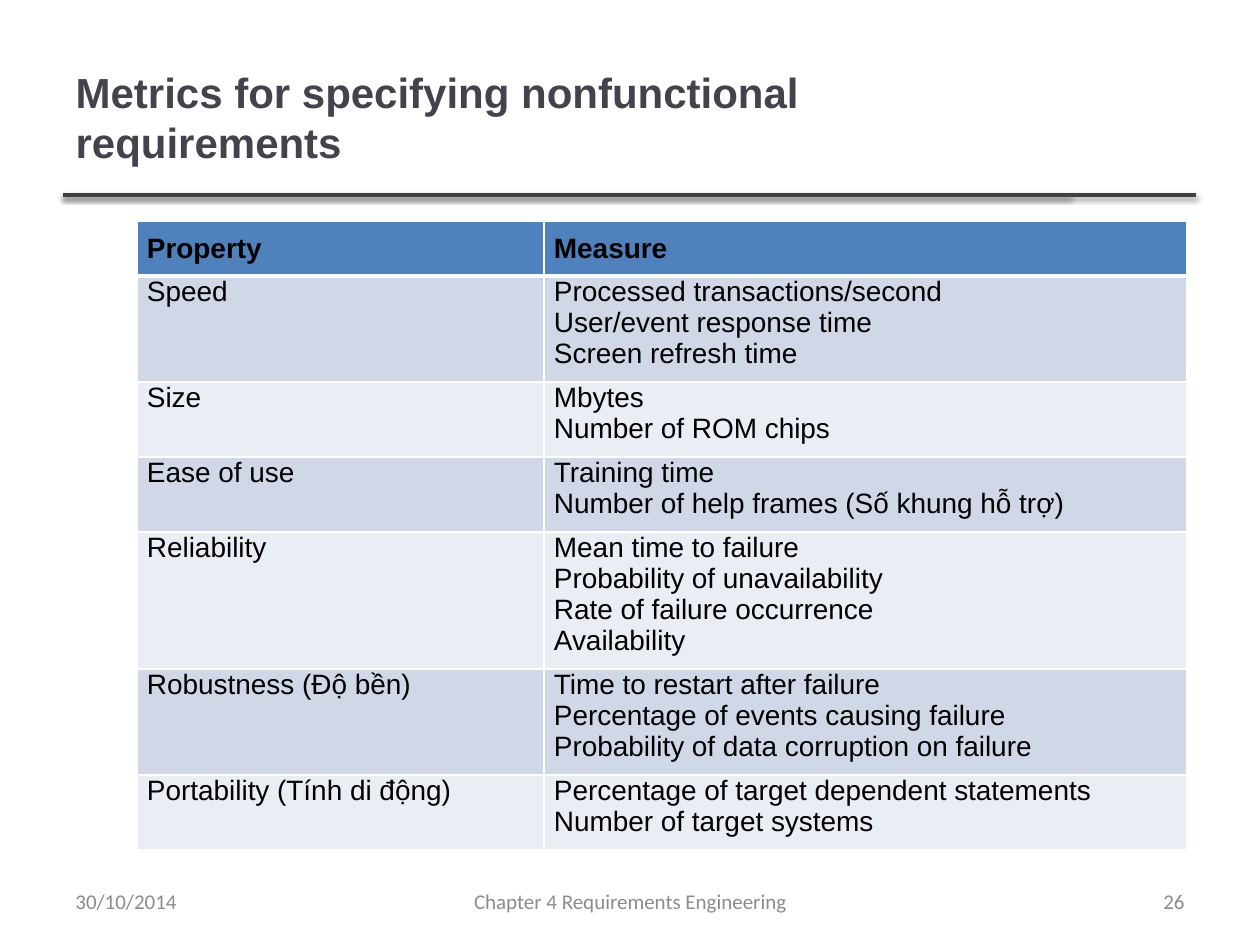
from lxml import etree
from pptx import Presentation
from pptx.dml.color import RGBColor
from pptx.enum.shapes import MSO_CONNECTOR
from pptx.enum.text import MSO_ANCHOR, MSO_AUTO_SIZE, PP_ALIGN
from pptx.oxml import parse_xml
from pptx.util import Emu, Pt

LEFT, CENTER, RIGHT, JUSTIFY = PP_ALIGN.LEFT, PP_ALIGN.CENTER, PP_ALIGN.RIGHT, PP_ALIGN.JUSTIFY
MIDDLE = MSO_ANCHOR.MIDDLE
NO_FIT = MSO_AUTO_SIZE.NONE
STRAIGHT = MSO_CONNECTOR.STRAIGHT

WHITE = RGBColor(0xFF, 0xFF, 0xFF)
BLACK = RGBColor(0x00, 0x00, 0x00)
TITLE_INK = RGBColor(0x46, 0x42, 0x4D)
RULE_INK = RGBColor(0x40, 0x40, 0x40)
FOOTER_INK = RGBColor(0x8C, 0x8C, 0x8C)
HEADER_FILL = RGBColor(0x4F, 0x81, 0xBD)
BAND_FILLS = (RGBColor(0xD0, 0xD8, 0xE8), RGBColor(0xE9, 0xED, 0xF4))

TITLE = {"name": "Arial", "size": Pt(24), "bold": True, "color": TITLE_INK}
HEADER = {"name": "Arial", "size": Pt(16), "bold": True, "color": BLACK}
BODY = {**HEADER, "bold": False}
FOOTER = {"name": "Calibri", "size": Pt(12), "bold": False, "color": FOOTER_INK}

DRAWING = "http://schemas.openxmlformats.org/drawingml/2006/main"
SHADOW = (
    f'<a:effectLst xmlns:a="{DRAWING}">'
    '<a:outerShdw blurRad="40000" dist="20000" dir="5400000" rotWithShape="0">'
    '<a:srgbClr val="000000"><a:alpha val="38000"/></a:srgbClr>'
    "</a:outerShdw></a:effectLst>"
)

COLUMN_WIDTHS = (407, 643)
ROW_HEIGHTS = (55, 106, 75, 75, 137, 106, 75)
METRICS = [
    ("Property", ["Measure"]),
    ("Speed", ["Processed transactions/second", "User/event response time", "Screen refresh time"]),
    ("Size", ["Mbytes", "Number of ROM chips"]),
    ("Ease of use", ["Training time", "Number of help frames (Số khung hỗ trợ)"]),
    ("Reliability", ["Mean time to failure", "Probability of unavailability",
                     "Rate of failure occurrence", "Availability"]),
    ("Robustness (Độ bền)", ["Time to restart after failure", "Percentage of events causing failure",
                             "Probability of data corruption on failure"]),
    ("Portability (Tính di động)", ["Percentage of target dependent statements",
                                    "Number of target systems"]),
]
FOOTERS = [
    ("30/10/2014", 63, 294, LEFT),
    ("Chapter 4 Requirements Engineering", 431, 399, CENTER),
    ("26", 903, 294, RIGHT),
]


def px(length):
    """Turn pixels into EMU."""
    return Emu(round(length * 914400 / 126))


class SlideBuilder:
    """Holds the current slide and draws each kind of element on it."""

    def __init__(self, slide):
        self.slide = slide

    def fill_text(self, frame, lines, style, align):
        """Fill a text frame with one paragraph per line."""
        frame.word_wrap = True
        for index, line in enumerate(lines):
            para = frame.paragraphs[0] if index == 0 else frame.add_paragraph()
            para.alignment = align
            span = para.add_run()
            span.text = line
            for key, value in style.items():
                if key == "color":
                    span.font.color.rgb = value
                else:
                    setattr(span.font, key, value)

    def title(self, text, left, top, width, height):
        """Place and fill the title placeholder."""
        box = self.slide.shapes.title
        box.left, box.top, box.width, box.height = map(px, (left, top, width, height))
        box.text_frame.auto_size = NO_FIT
        box.text_frame.vertical_anchor = MIDDLE
        self.fill_text(box.text_frame, [text], TITLE, LEFT)

    def text(self, text, left, top, width, height, align):
        """Add a footer text box."""
        box = self.slide.shapes.add_textbox(*map(px, (left, top, width, height)))
        box.text_frame.vertical_anchor = MIDDLE
        self.fill_text(box.text_frame, [text], FOOTER, align)

    def rule(self, left, right, y):
        """Add a horizontal line with a soft shadow."""
        line = self.slide.shapes.add_connector(STRAIGHT, *map(px, (left, y, right, y)))
        line.line.color.rgb = RULE_INK
        line.line.width = Pt(2)
        line._element.spPr.append(parse_xml(SHADOW))

    def borders(self, cell, widths):
        """Set white borders from a dict of side and width in points."""
        properties = cell._tc.get_or_add_tcPr()
        for index, (side, width) in enumerate(widths.items()):
            edge = etree.Element(f"{{{DRAWING}}}ln{side}", w=str(Pt(width)))
            fill = etree.SubElement(edge, f"{{{DRAWING}}}solidFill")
            etree.SubElement(fill, f"{{{DRAWING}}}srgbClr", val=str(WHITE))
            properties.insert(index, edge)

    def table(self, rows, left, top):
        """Add the banded table with its header row."""
        size = map(px, (left, top, sum(COLUMN_WIDTHS), sum(ROW_HEIGHTS)))
        table = self.slide.shapes.add_table(len(rows), len(COLUMN_WIDTHS), *size).table
        for column, width in zip(table.columns, COLUMN_WIDTHS):
            column.width = px(width)
        for index, (name, measures) in enumerate(rows):
            table.rows[index].height = px(ROW_HEIGHTS[index])
            is_header = index == 0
            fill = HEADER_FILL if is_header else BAND_FILLS[(index - 1) % 2]
            edges = {"L": 1, "R": 1, "T": 3 if index == 1 else 1, "B": 3 if is_header else 1}
            margins = {"margin_left": 10, "margin_right": 10,
                       "margin_top": 12 if is_header else 0, "margin_bottom": 12}
            for cell, lines in zip(table.rows[index].cells, ([name], measures)):
                for key, value in margins.items():
                    setattr(cell, key, px(value))
                cell.fill.solid()
                cell.fill.fore_color.rgb = fill
                self.borders(cell, edges)
                self.fill_text(cell.text_frame, lines, HEADER if is_header else BODY, JUSTIFY)


def main():
    """Build the slide and save the deck."""
    deck = Presentation()
    deck.slide_width, deck.slide_height = px(1260), px(945)
    page = SlideBuilder(deck.slides.add_slide(deck.slide_layouts[5]))
    for right in (1070, 1196):
        page.rule(63, right, 195)
    page.title("Metrics for specifying nonfunctional requirements", 63, 38, 1005, 158)
    page.table(METRICS, 137, 221)
    for text, left, width, align in FOOTERS:
        page.text(text, left, 876, width, 50, align)
    deck.save("out.pptx")


if __name__ == "__main__":
    main()
